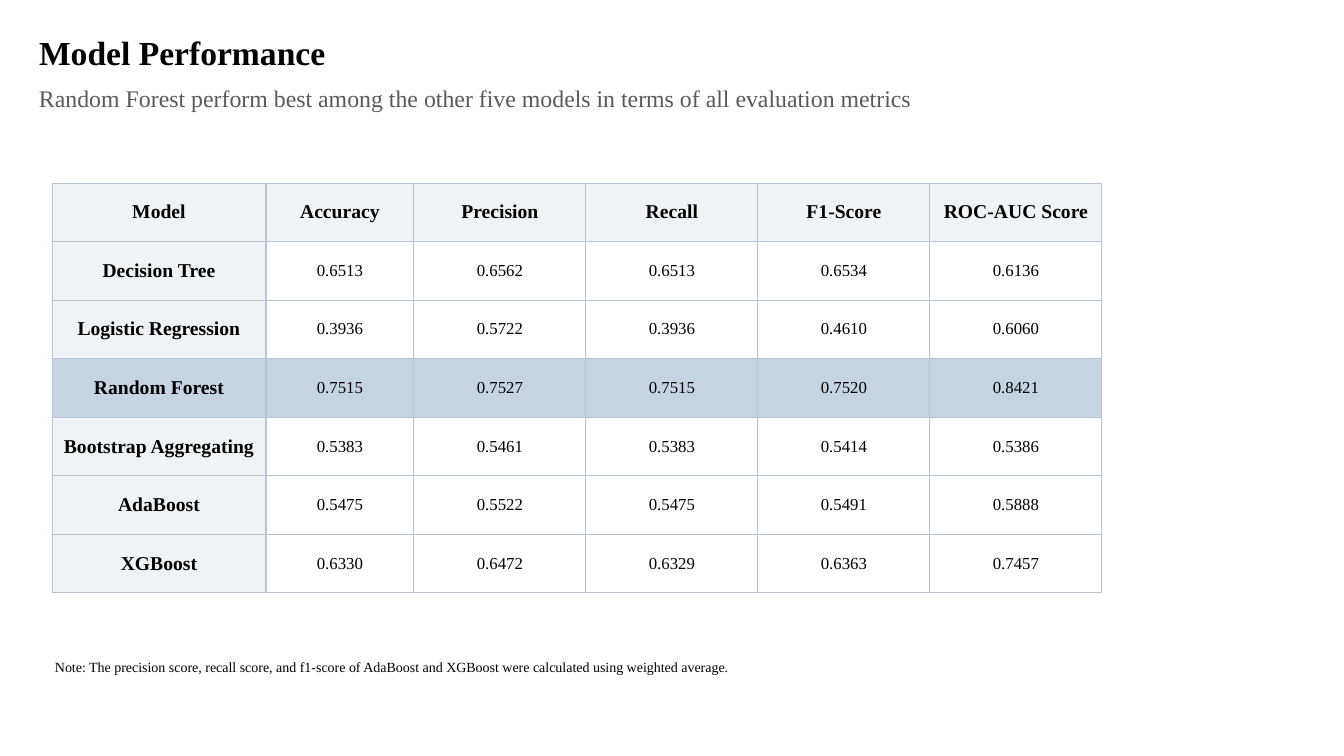
from lxml.etree import SubElement
from pptx import Presentation
from pptx.dml.color import RGBColor
from pptx.enum.text import MSO_ANCHOR as Anchor, MSO_AUTO_SIZE as AutoSize, PP_ALIGN as Align
from pptx.oxml.ns import qn
from pptx.util import Emu, Pt

BLACK = RGBColor(0x00, 0x00, 0x00)
GREY = RGBColor(0x59, 0x59, 0x59)
HEADER_FILL = RGBColor(0xE7, 0xEC, 0xEF)
BEST_FILL = RGBColor(0xC6, 0xD4, 0xE2)
BORDER = RGBColor(0xB7, 0xC4, 0xD1)
FONT = "Times New Roman"
HEADER_OPACITY = 59
THIN, THICK = 0.75, 1.5

METRICS = ["Model", "Accuracy", "Precision", "Recall", "F1-Score", "ROC-AUC Score"]
SCORES = [
    ["Decision Tree", "0.6513", "0.6562", "0.6513", "0.6534", "0.6136"],
    ["Logistic Regression", "0.3936", "0.5722", "0.3936", "0.4610", "0.6060"],
    ["Random Forest", "0.7515", "0.7527", "0.7515", "0.7520", "0.8421"],
    ["Bootstrap Aggregating", "0.5383", "0.5461", "0.5383", "0.5414", "0.5386"],
    ["AdaBoost", "0.5475", "0.5522", "0.5475", "0.5491", "0.5888"],
    ["XGBoost", "0.6330", "0.6472", "0.6329", "0.6363", "0.7457"],
]
BEST_MODEL = "Random Forest"
COLUMN_WIDTHS = [214, 148, 172, 172, 172, 172]


def px(length):
    return Emu(round(length * 914400 / 100.8))


def style_paragraph(para, size, color=BLACK, bold=False, align=Align.LEFT):
    para.alignment = align
    font = para.font
    font.name, font.size, font.bold = FONT, Pt(size), bold
    font.color.rgb = color


def fill_text(shape, box, text, size, inset, color=BLACK, bold=False):
    shape.left, shape.top, shape.width, shape.height = map(px, box)
    frame = shape.text_frame
    frame.word_wrap = True
    frame.auto_size = AutoSize.NONE
    frame.vertical_anchor = Anchor.TOP
    frame.margin_left = frame.margin_right = px(10)
    frame.margin_top = frame.margin_bottom = px(inset)
    frame.text = text
    style_paragraph(frame.paragraphs[0], size, color, bold)


def add_text(page, box, *content):
    fill_text(page.shapes.add_textbox(*map(px, box)), box, *content)


def add_heading(page, box):
    left, top, width, height = box
    fill_text(page.shapes.title, (left, top, 986, 50),
              "Model Performance", 24, 5, BLACK, True)
    add_text(page, (left, top + 52, width, height - 52),
             "Random Forest perform best among the other five models "
             "in terms of all evaluation metrics", 17, 5, GREY)


def set_borders(cell, row, column):
    widths = {
        "a:lnL": THICK if column == 1 else THIN,
        "a:lnR": THICK if column == 0 else THIN,
        "a:lnT": THICK if row == 1 else THIN,
        "a:lnB": THICK if row == 0 else THIN,
    }
    properties = cell._tc.get_or_add_tcPr()
    for side, width in widths.items():
        line = SubElement(properties, qn(side), w=str(Pt(width)))
        solid = SubElement(line, qn("a:solidFill"))
        SubElement(solid, qn("a:srgbClr"), val=str(BORDER))


def fill_cell(cell, is_header, is_best):
    if not (is_header or is_best):
        cell.fill.background()
        return
    cell.fill.solid()
    cell.fill.fore_color.rgb = BEST_FILL if is_best else HEADER_FILL
    if not is_best:
        properties = cell._tc.get_or_add_tcPr()
        color = properties.find(qn("a:solidFill")).find(qn("a:srgbClr"))
        SubElement(color, qn("a:alpha"), val=str(HEADER_OPACITY * 1000))


def add_scores(page, box):
    rows = [METRICS] + SCORES
    table = page.shapes.add_table(len(rows), len(METRICS), *map(px, box)).table
    table.first_row = table.horz_banding = False
    for column, width in zip(table.columns, COLUMN_WIDTHS):
        column.width = px(width)
    for row in table.rows:
        row.height = px(box[3] / len(rows))
    for row, values in enumerate(rows):
        for column, value in enumerate(values):
            cell = table.cell(row, column)
            is_header = row == 0 or column == 0
            cell.vertical_anchor = Anchor.MIDDLE
            cell.margin_left = cell.margin_right = px(10)
            cell.margin_top = cell.margin_bottom = px(10)
            cell.text = value
            style_paragraph(cell.text_frame.paragraphs[0], 14 if is_header else 12,
                            bold=is_header, align=Align.CENTER)
            set_borders(cell, row, column)
            fill_cell(cell, is_header, values[0] == BEST_MODEL)


def add_note(page, box):
    add_text(page, box,
             "Note: The precision score, recall score, and f1-score of AdaBoost "
             "and XGBoost were calculated using weighted average.", 10, 10)


def main():
    deck = Presentation()
    deck.slide_width, deck.slide_height = px(1344), px(756)
    page = deck.slides.add_slide(deck.slide_layouts[5])
    add_scores(page, (52, 183, sum(COLUMN_WIDTHS), 410))
    add_heading(page, (29, 27, 1255, 91))
    add_note(page, (45, 648, 719, 44))
    deck.save("out.pptx")


if __name__ == "__main__":
    main()
